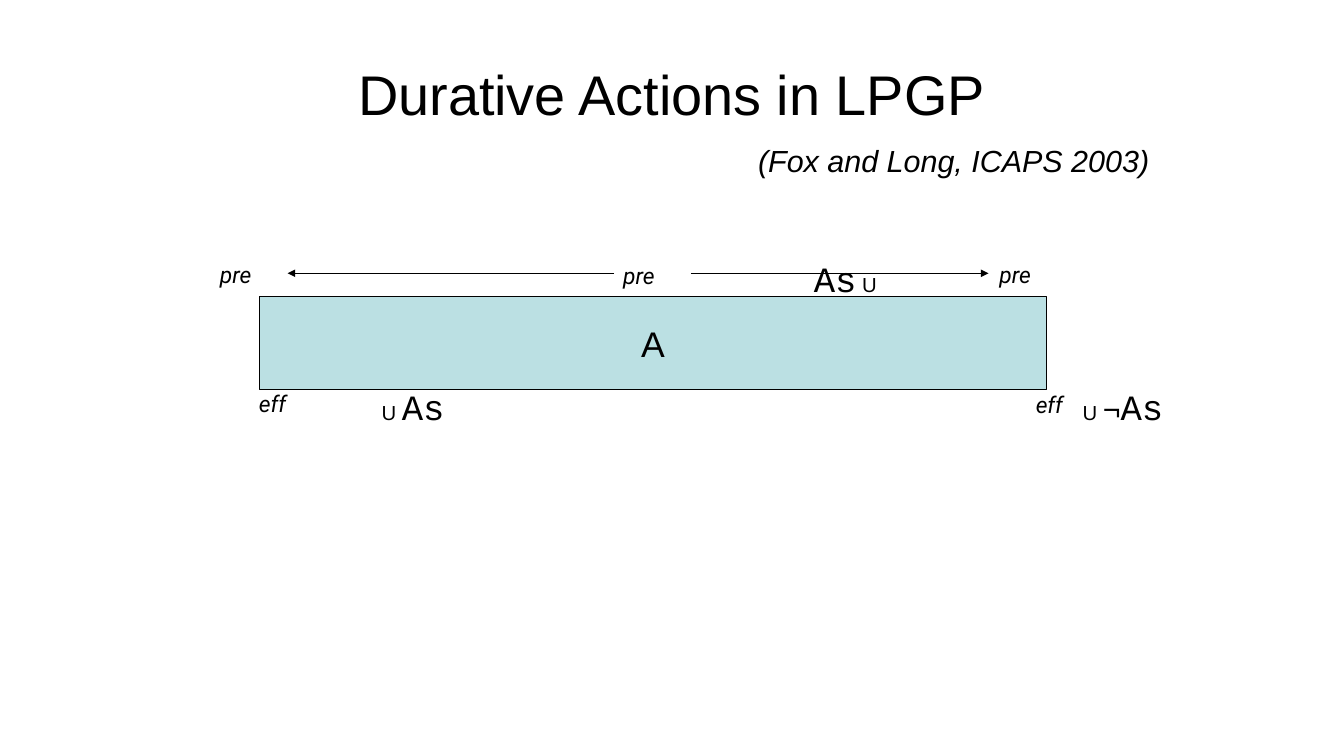
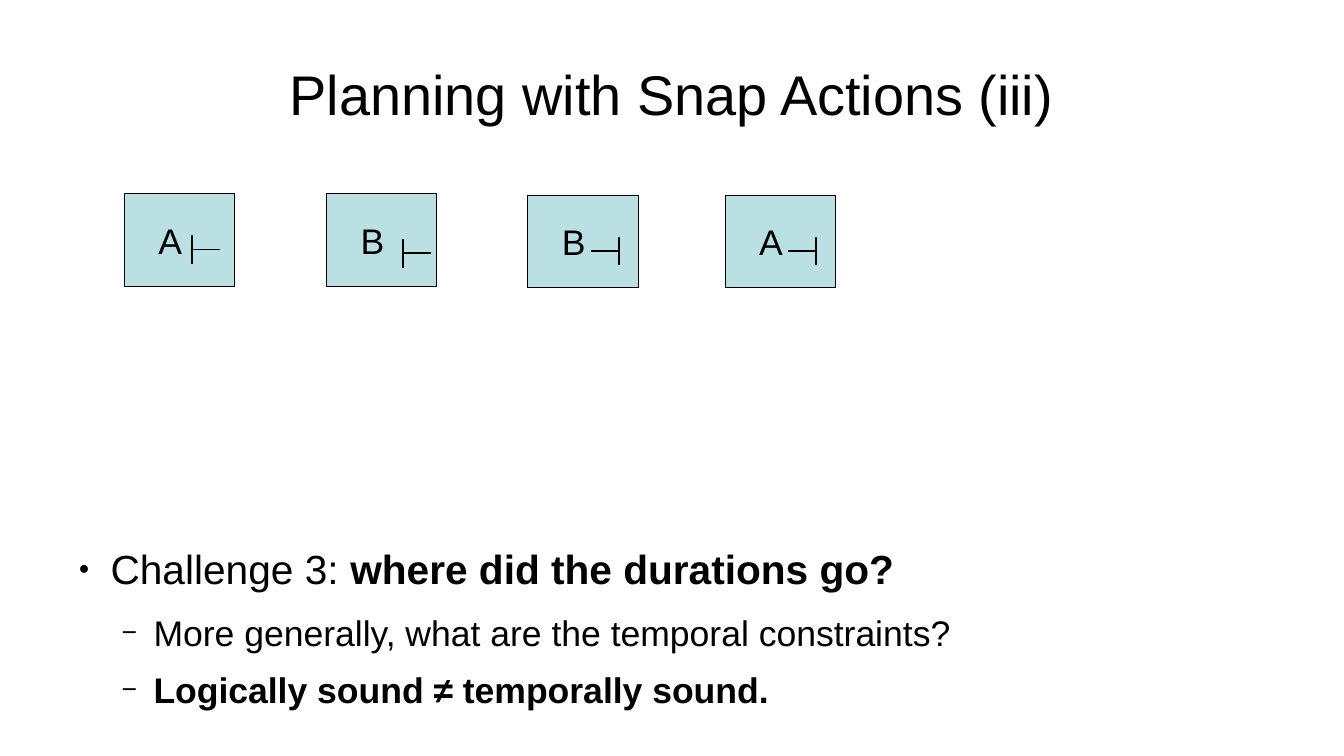
from pptx import Presentation
from pptx.dml.color import RGBColor
from pptx.enum.shapes import MSO_CONNECTOR, MSO_SHAPE
from pptx.enum.text import MSO_ANCHOR, PP_ALIGN
from pptx.oxml.ns import qn
from pptx.util import Inches, Pt
from lxml.etree import SubElement

BLACK = RGBColor(0x00, 0x00, 0x00)
TEAL = RGBColor(0xBB, 0xE0, 0xE3)
SANS, MONO, LABEL = "Arial", "Courier New", "Roboto"
HAIRLINE = 0.01  # a width of 0 would fall back to the theme's line

prs = Presentation()
prs.slide_width, prs.slide_height = Inches(14.7), Inches(8.27)

# Grid: 100 columns by 100 rows
COL, ROW = prs.slide_width / 100, prs.slide_height / 100
BOX_W, BOX_H = 8.2, 12.3


def add_text(s, box, runs, align=PP_ALIGN.LEFT, fill=None, italic=False, inset=0.0):
    """Add (text, size, font) runs in a text box, or in a rectangle if filled."""
    x, y, w, h = box
    frame = int(x * COL), int(y * ROW), int(w * COL), int(h * ROW)
    if fill is None:
        sp = s.shapes.add_textbox(*frame)
    else:
        sp = s.shapes.add_shape(MSO_SHAPE.RECTANGLE, *frame)
        sp.shadow.inherit = False
        sp.fill.solid()
        sp.fill.fore_color.rgb = fill
        sp.line.color.rgb = BLACK
        sp.line.width = Pt(0.75)
    tf = sp.text_frame
    tf.word_wrap = True
    tf.vertical_anchor = MSO_ANCHOR.MIDDLE
    tf.margin_left = tf.margin_right = Inches(inset)
    tf.margin_top = tf.margin_bottom = 0
    p = tf.paragraphs[0]
    p.alignment = align
    for text, size, font in runs:
        r = p.add_run()
        r.text = text
        r.font.size, r.font.name, r.font.italic = Pt(size), font, italic
        r.font.color.rgb = BLACK
    return sp


def add_line(s, x1, y1, x2, y2, width, arrow=False):
    ends = int(x1 * COL), int(y1 * ROW), int(x2 * COL), int(y2 * ROW)
    line = s.shapes.add_connector(MSO_CONNECTOR.STRAIGHT, *ends)
    line.line.color.rgb = BLACK
    line.line.width = Pt(width)
    if arrow:
        SubElement(line.line._get_or_add_ln(), qn("a:tailEnd"), type="triangle")
    SubElement(line._element.spPr, qn("a:effectLst"))


# Slides and their shared title style
slides = []
for title in ("Durative Actions in LPGP", "Planning with Snap Actions (iii)"):
    s = prs.slides.add_slide(prs.slide_layouts[6])
    add_text(s, (5, 4, 90, 16.7), [(title, 44, SANS)], PP_ALIGN.CENTER)
    slides.append(s)
durative, snap = slides

# Durative action: citation, condition and effect labels
add_text(durative, (56.4, 18.9, 40.7, 4.6),
         [("(Fox and Long, ICAPS 2003)", 24, SANS)], italic=True)
for text, x, y in (("pre", 15.7, 33.9), ("pre", 45.7, 34), ("pre", 73.7, 33.9),
                   ("eff", 18.6, 51), ("eff", 76.4, 51.1)):
    add_text(durative, (x, y, 6, 4.8), [(text, 18, LABEL)], italic=True, inset=0.1)

# Fine arrows from the middle out to both ends of the action
for start, end in ((51.4, 73.55), (45.7, 21.4)):
    add_line(durative, start, 36.15, end, 36.15, HAIRLINE, arrow=True)

add_text(durative, (19.28, 39.2, 58.6, BOX_H), [("A", 28, SANS)],
         PP_ALIGN.CENTER, TEAL)

# Extra facts joined to the conditions and effects
U, AS = ("U ", 16, SANS), ("As", 28, MONO)
for x, y, runs in ((28.4, 51.1, [U, AS]),
                   (60.55, 34.2, [AS, (" U", 16, SANS)]),
                   (80.55, 51.1, [U, ("¬", 24, SANS), AS])):
    add_text(durative, (x, y, 8, 5.3), runs)

# Snap actions: each box carries a start (+1) or end (-1) mark
STEM, BAR = 2.1, 3.8
for name, x, y, dx, dy, side in (("A", 9.25, 25.6, 5.05, 5.5, 1),
                                 ("B", 24.3, 25.6, 5.7, 6, 1),
                                 ("B", 39.28, 25.8, 6.8, 5.5, -1),
                                 ("A", 53.95, 25.8, 6.75, 5.5, -1)):
    sp = add_text(snap, (x, y, BOX_W, BOX_H), [(name, 28, SANS)],
                  PP_ALIGN.CENTER, TEAL)
    sp.text_frame.margin_right = Inches(0.2)
    bar, top = x + dx, y + dy
    middle = top + BAR / 2
    add_line(snap, bar, top, bar, top + BAR, 1.42)
    add_line(snap, bar, middle, bar + side * STEM, middle, 1.42)

# Challenge list: level, plain text, bold text
items = ((0, "Challenge 3: ", "where did the durations go?"),
         (1, "More generally, what are the temporal constraints?", ""),
         (1, "", "Logically sound ≠ temporally sound."))
# Size, space after, indent, bullet and bullet scale by level
levels = ((32, 14.2, 0.47, "●", 45), (28, 11.3, 0.94, "−", 75))
tf = add_text(snap, (5.03, 71.95, 90, 24.3), []).text_frame
tf.vertical_anchor = MSO_ANCHOR.TOP
for i, (level, plain, bold) in enumerate(items):
    size, after, indent, bullet, scale = levels[level]
    p = tf.add_paragraph() if i else tf.paragraphs[0]
    p.level = level
    p.space_after = Pt(after)
    for text, is_bold in ((plain, False), (bold, True)):
        if text:
            r = p.add_run()
            r.text = text
            r.font.size, r.font.name, r.font.bold = Pt(size), SANS, is_bold
            r.font.color.rgb = BLACK
    pPr = p._p.get_or_add_pPr()
    pPr.set("marL", str(Inches(indent)))
    pPr.set("indent", str(Inches(-0.35)))
    SubElement(pPr, qn("a:buSzPct"), val=str(scale * 1000))
    SubElement(pPr, qn("a:buFont"), typeface=SANS)
    SubElement(pPr, qn("a:buChar"), char=bullet)

prs.save("out.pptx")
